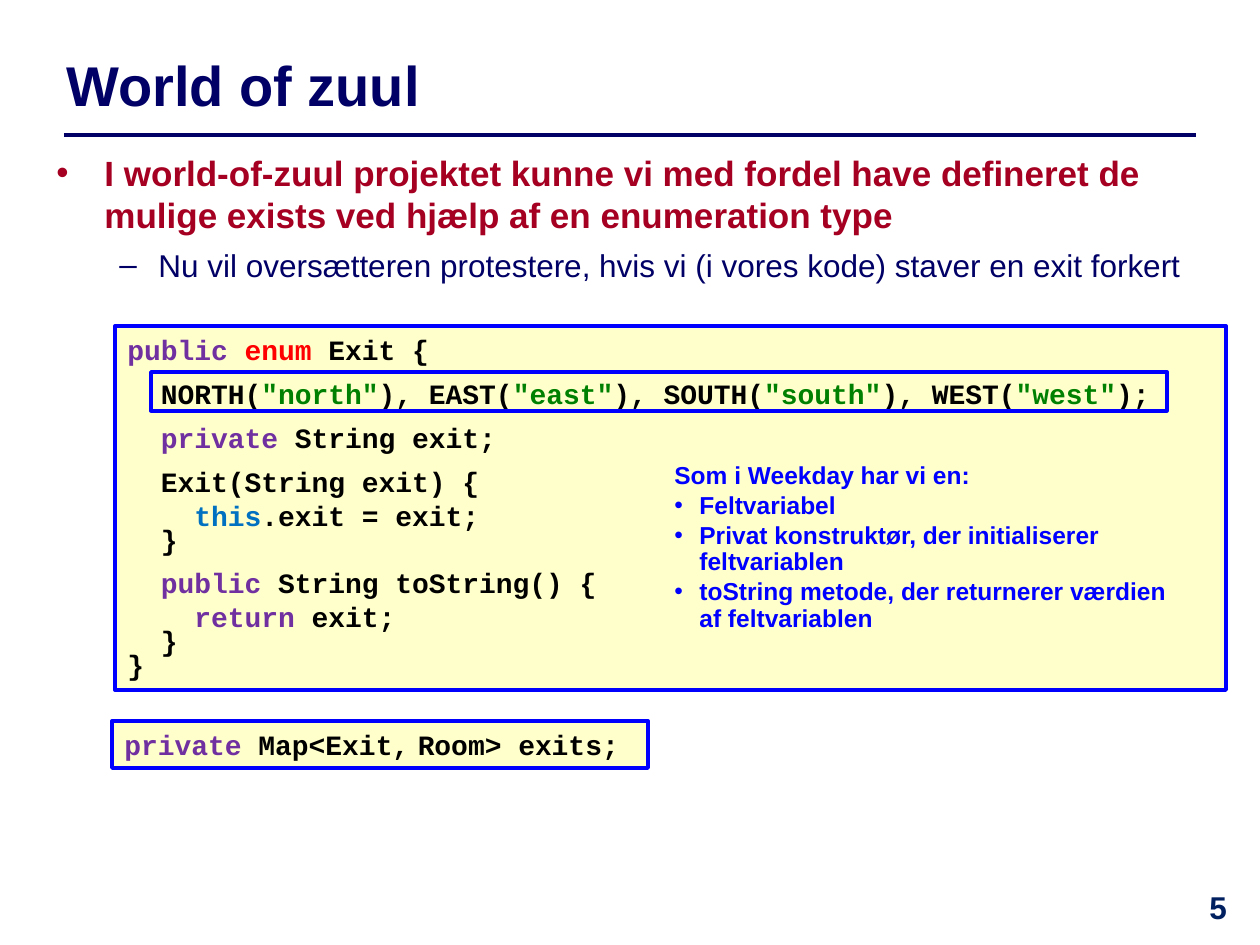
from lxml.etree import SubElement
from pptx import Presentation
from pptx.dml.color import RGBColor
from pptx.enum.shapes import MSO_CONNECTOR, MSO_SHAPE
from pptx.enum.text import MSO_ANCHOR, PP_ALIGN
from pptx.oxml.ns import qn
from pptx.util import Emu, Pt

EMU_PER_PX = 914400 / 126

NAVY, DARK_BLUE, CRIMSON = "000066", "002060", "A50021"
BLUE, CREAM, BLACK = "0000FF", "FFFFCC", "000000"
PURPLE, RED, GREEN, SKY = "7030A0", "FF0000", "008000", "0070C0"


def px(length):
    return Emu(round(length * EMU_PER_PX))


def rgb(hex_colour):
    return RGBColor.from_string(hex_colour)


def add_span(para, text, font="Arial", size=18, colour=BLACK, bold=True):
    span = para.add_run()
    span.text = text
    span.font.name = font
    span.font.size = Pt(size)
    span.font.bold = bold
    span.font.color.rgb = rgb(colour)


class SlideBuilder:
    code_font = "Courier New"
    code_size = 16

    def __init__(self, slide):
        self.slide = slide

    def text_box(self, left, top, width, height, anchor=MSO_ANCHOR.TOP):
        box = self.slide.shapes.add_textbox(px(left), px(top), px(width), px(height))
        box.text_frame.word_wrap = True
        box.text_frame.vertical_anchor = anchor
        return box.text_frame

    def paragraph(self, frame, before=0, spacing=None, align=None,
                  bullet=None, margin=0, hang=0):
        first = frame.paragraphs[0]
        para = frame.add_paragraph() if first.runs else first
        para.space_before = Pt(before)
        para.alignment = align or PP_ALIGN.LEFT
        if spacing:
            para.line_spacing = spacing
        if bullet:
            properties = para._p.get_or_add_pPr()
            properties.set("marL", str(px(margin)))
            properties.set("indent", str(-px(hang)))
            SubElement(properties, qn("a:buFont"), typeface="Arial")
            SubElement(properties, qn("a:buChar"), char=bullet)
        return para

    def text(self, frame, text, size, colour, bold=True, **layout):
        para = self.paragraph(frame, **layout)
        add_span(para, text, size=size, colour=colour, bold=bold)

    def rule(self, left, right, y, colour, weight):
        line = self.slide.shapes.add_connector(
            MSO_CONNECTOR.STRAIGHT, px(left), px(y), px(right), px(y))
        line.line.color.rgb = rgb(colour)
        line.line.width = Pt(weight)
        SubElement(line._element.spPr, qn("a:effectLst"))

    def frame(self, left, top, width, height, weight, fill=None):
        shape = self.slide.shapes.add_shape(
            MSO_SHAPE.RECTANGLE, px(left), px(top), px(width), px(height))
        shape.shadow.inherit = False
        shape.line.color.rgb = rgb(BLUE)
        shape.line.width = Pt(weight)
        if fill:
            shape.fill.solid()
            shape.fill.fore_color.rgb = rgb(fill)
        else:
            shape.fill.background()
        return shape

    def code_box(self, left, top, width, height, lines):
        frame = self.frame(left, top, width, height, 2.25, CREAM).text_frame
        frame.word_wrap = True
        frame.vertical_anchor = MSO_ANCHOR.TOP
        for spans, layout in lines:
            para = self.paragraph(frame, **layout)
            for text, colour, *size in spans:
                add_span(para, text, font=self.code_font, colour=colour,
                         size=size[0] if size else self.code_size)


def constants_line():
    spans, lead = [], "  "
    for name in ("north", "east", "south", "west"):
        spans += [(f"{lead}{name.upper()}(", BLACK), (f'"{name}"', GREEN)]
        lead = "), "
    return spans + [(");", BLACK)]


def main():
    deck = Presentation()
    deck.slide_width, deck.slide_height = px(1260), px(945)
    page = SlideBuilder(deck.slides.add_slide(deck.slide_layouts[6]))

    # Title, rule and page number
    page.rule(64, 1196, 135, NAVY, 2)
    title = page.text_box(54, 37, 1196, 94, anchor=MSO_ANCHOR.MIDDLE)
    page.text(title, "World of zuul", 32, NAVY)
    number = page.text_box(1176, 882, 84, 63)
    page.text(number, "5", 18, DARK_BLUE, align=PP_ALIGN.CENTER)

    # Main points
    body = page.text_box(44, 145, 1216, 100)
    page.text(body, "I world-of-zuul projektet kunne vi med fordel have defineret de "
              "mulige exists ved hjælp af en enumeration type",
              20, CRIMSON, bullet="•", margin=48, hang=48)
    page.text(body, "Nu vil oversætteren protestere, hvis vi (i vores kode) "
              "staver en exit forkert",
              18, NAVY, bold=False, before=6, bullet="–", margin=102, hang=39)

    # Enum code, with its constants framed
    new_block, closing = {"before": 6}, {"spacing": 0.7}
    page.code_box(115, 326, 1111, 364, [
        ([("public ", PURPLE), ("enum ", RED), ("Exit {", BLACK)], {}),
        (constants_line(), new_block),
        ([("  private", PURPLE), (" String exit;", BLACK)], new_block),
        ([("  Exit(String exit) {", BLACK)], new_block),
        ([("    this", SKY), (".exit = exit;", BLACK)], {}),
        ([("  }", BLACK)], closing),
        ([("  public", PURPLE), (" String toString() {", BLACK)], new_block),
        ([("    return", PURPLE), (" exit;", BLACK)], {}),
        ([("  }", BLACK)], closing),
        ([("}", BLACK)], closing),
    ])
    page.frame(151, 372, 1016, 39, 2)

    # Field declaration
    page.code_box(112, 721, 536, 47, [
        ([("private ", PURPLE), ("Map<Exit,", BLACK), (" ", BLACK, 8),
          ("Room> exits;", BLACK)], {}),
    ])

    # Remarks beside the code
    remarks = page.text_box(662, 454, 524, 186)
    page.text(remarks, "Som i Weekday har vi en:", 14, BLUE)
    for remark in ("Feltvariabel",
                   "Privat konstruktør, der initialiserer feltvariablen",
                   "toString metode, der returnerer værdien af feltvariablen"):
        page.text(remarks, remark, 14, BLUE, before=2, spacing=0.9,
                  bullet="•", margin=25, hang=25)

    deck.save("out.pptx")


if __name__ == "__main__":
    main()
